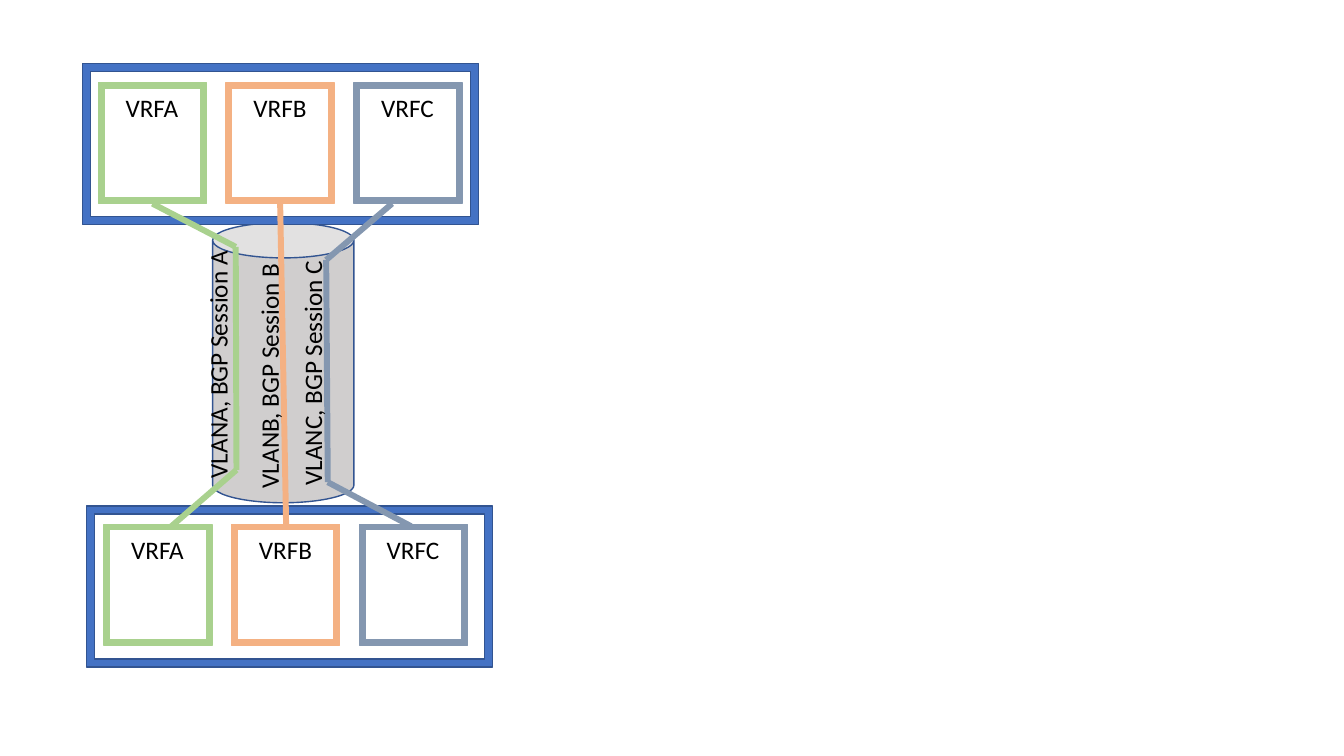
from dataclasses import dataclass
from itertools import pairwise

from lxml import etree
from pptx import Presentation
from pptx import util as u
from pptx.dml.color import RGBColor
from pptx.enum import shapes, text
from pptx.oxml.ns import qn


@dataclass(frozen=True)
class Theme:
    """Colours, type and line widths of the slide."""
    router: str = "4472C4"
    edge: str = "325491"
    trunk: str = "D0CECE"
    ink: str = "000000"
    vrf: tuple = ("A9D18E", "F4B183", "8497B0")
    font: str = "Calibri"
    size: float = 18
    thin: float = 1
    thick: float = 4.25


T = Theme()
NAMES = "ABC"
VRF_W, VRF_H, VRF_PITCH = 2.72, 3.05, 3.22
LABEL_W, LABEL_H = 1.85, 1.02
SESSION_W = 6.27

# Router: left, top, width, then left and top of its first VRF
ROUTERS = [(2.08, 1.6, 9.98, 2.48, 2.08), (2.18, 12.75, 10.24, 2.62, 13.21)]
ROUTER_H = 4.06

# Path of each VLAN from the upper VRF to the lower one
PATHS = [
    [(3.84, 5.13), (5.94, 6.22), (5.96, 11.84), (4.32, 13.26)],
    [(7.06, 5.13), (7.21, 13.21)],
    [(9.88, 5.13), (8.22, 6.55), (8.26, 12.15), (10.36, 13.26)],
]
SESSION_CENTRES = [(5.49, 9.17), (6.78, 9.42), (7.87, 9.35)]


def apply(target, formats):
    """Set each attribute named in formats on target."""
    for name, value in formats.items():
        setattr(target, name, value)


def add_box(s, kind, box, fill, line):
    """Add a filled preset shape; box is left, top, width, height in cm."""
    sp = s.shapes.add_shape(kind, *map(u.Cm, box))
    sp.shadow.inherit = False
    sp.fill.solid()
    sp.fill.fore_color.rgb = RGBColor.from_string(fill)
    sp.line.color.rgb = RGBColor.from_string(line)
    sp.line.width = u.Pt(T.thin)
    return sp


def add_frame(s, box, fill, line):
    """Add a hollow frame with a narrow border."""
    sp = add_box(s, shapes.MSO_SHAPE.FRAME, box, fill, line)
    sp.adjustments[0] = 0.051


def add_path(s, points, color):
    """Join consecutive points with thick straight connectors."""
    for start, end in pairwise(points):
        line = s.shapes.add_connector(
            shapes.MSO_CONNECTOR.STRAIGHT, *map(u.Cm, start + end))
        line.line.color.rgb = RGBColor.from_string(color)
        line.line.width = u.Pt(T.thick)
        etree.SubElement(line._element.spPr, qn("a:effectLst"))


def add_label(s, centre, width, words, rotation=0):
    """Add a one-line label around its centre."""
    x, y = centre
    box = (x - width / 2, y - LABEL_H / 2, width, LABEL_H)
    sp = s.shapes.add_textbox(*map(u.Cm, box))
    sp.rotation = rotation
    tf = sp.text_frame
    apply(tf, {"word_wrap": False,
               "auto_size": text.MSO_AUTO_SIZE.SHAPE_TO_FIT_TEXT})
    r = tf.paragraphs[0].add_run()
    r.text = words
    apply(r.font, {"name": T.font, "size": u.Pt(T.size)})
    r.font.color.rgb = RGBColor.from_string(T.ink)


def add_router(s, left, top, width, vrf_left, vrf_top):
    """Add a router frame with its row of VRF frames."""
    add_frame(s, (left, top, width, ROUTER_H), T.router, T.edge)
    for i, color in enumerate(T.vrf):
        box = (vrf_left + i * VRF_PITCH, vrf_top, VRF_W, VRF_H)
        add_frame(s, box, color, color)


def add_vrf_labels(s, vrf_left, vrf_top):
    """Name each VRF near the top of its frame."""
    for i, name in enumerate(NAMES):
        x = vrf_left + i * VRF_PITCH + VRF_W / 2
        add_label(s, (x, vrf_top + 0.63), LABEL_W, f"VRF{name}")


def main():
    """Build the slide and save it."""
    prs = Presentation()
    apply(prs, {"slide_width": u.Cm(33.87), "slide_height": u.Cm(19.05)})
    s = prs.slides.add_slide(prs.slide_layouts[6])

    add_box(s, shapes.MSO_SHAPE.CAN, (5.36, 5.61, 3.56, 7.06), T.trunk, T.edge)
    for router in ROUTERS:
        add_router(s, *router)
    for points, color in zip(PATHS, T.vrf):
        add_path(s, points, color)
    for *_, vrf_left, vrf_top in ROUTERS:
        add_vrf_labels(s, vrf_left, vrf_top)
    for name, centre in zip(NAMES, SESSION_CENTRES):
        add_label(s, centre, SESSION_W, f"VLAN{name}, BGP Session {name}", 270)

    prs.save("out.pptx")


main()
